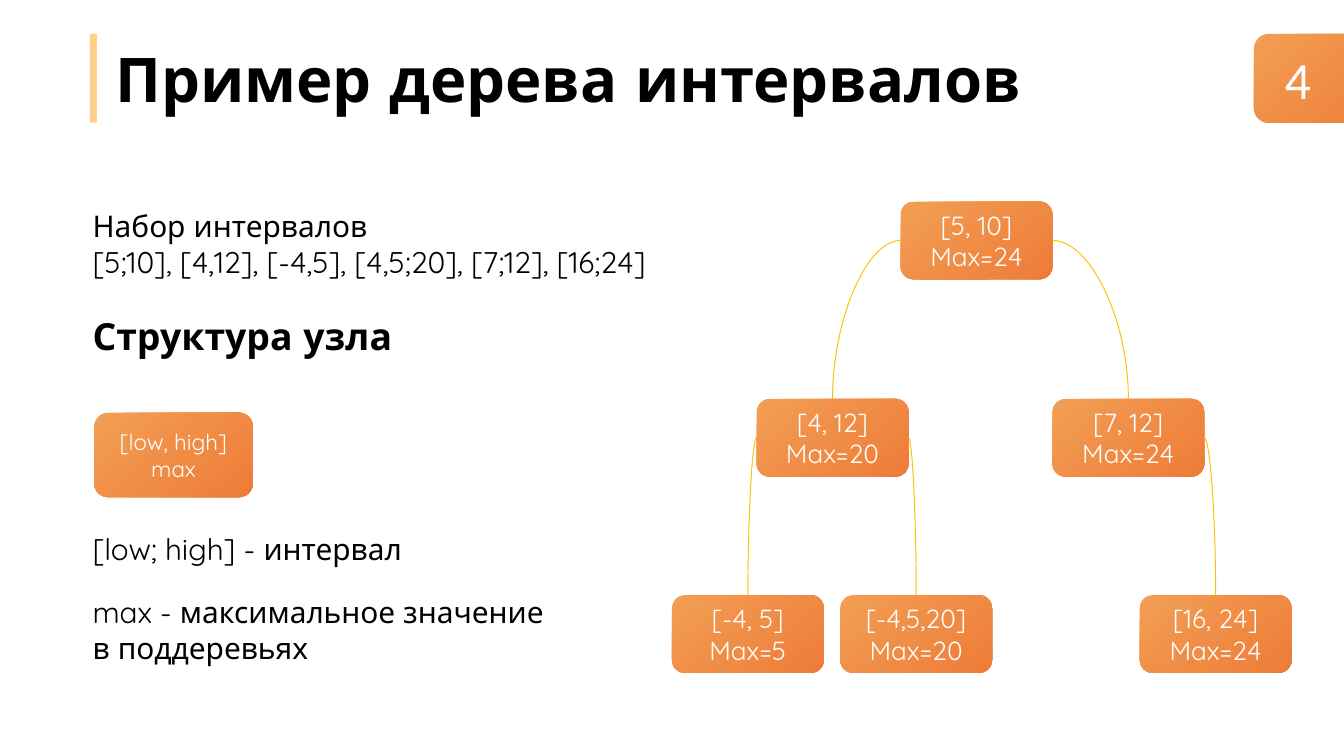
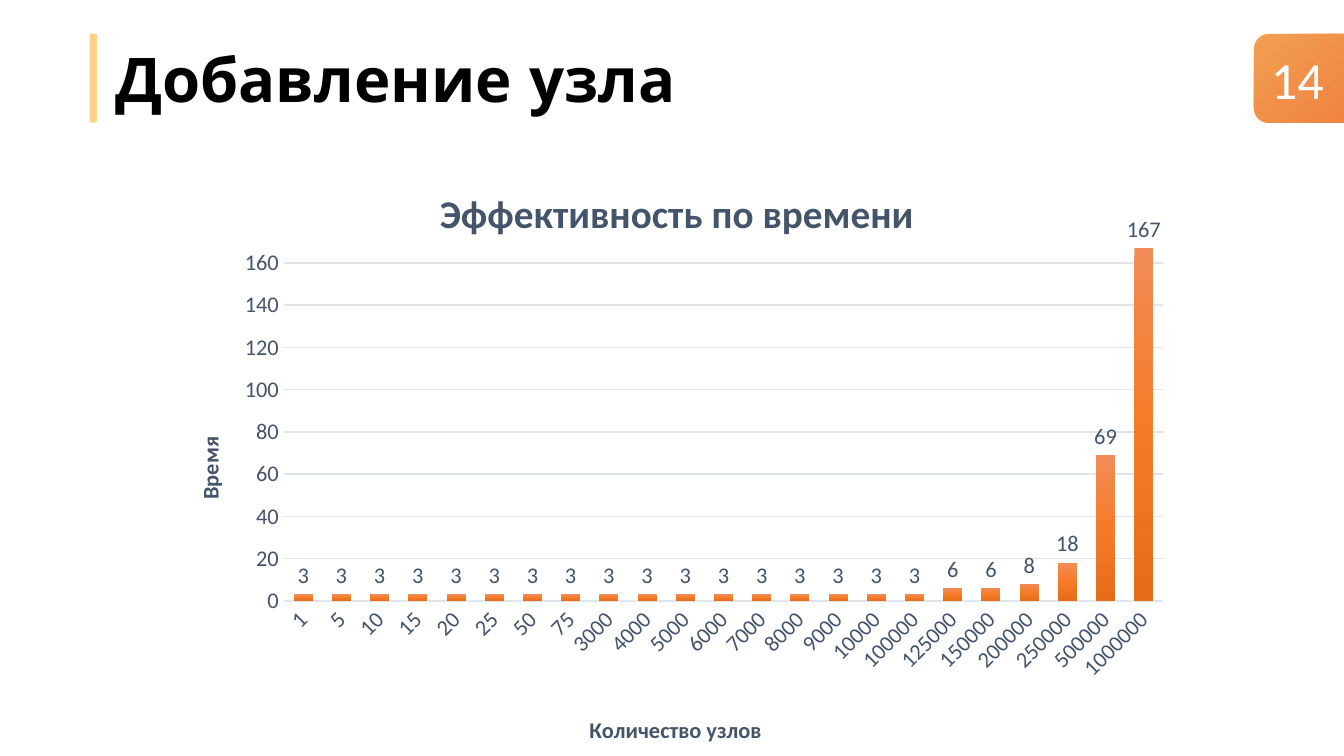
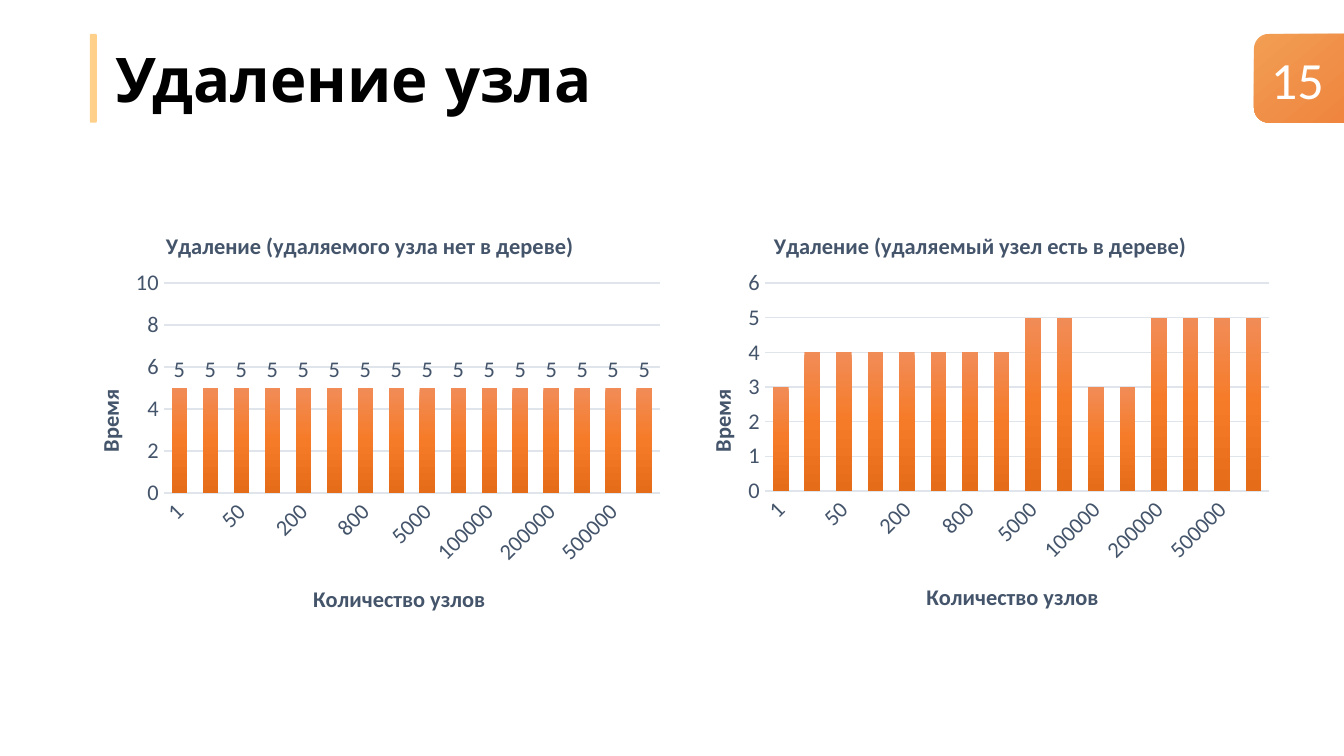
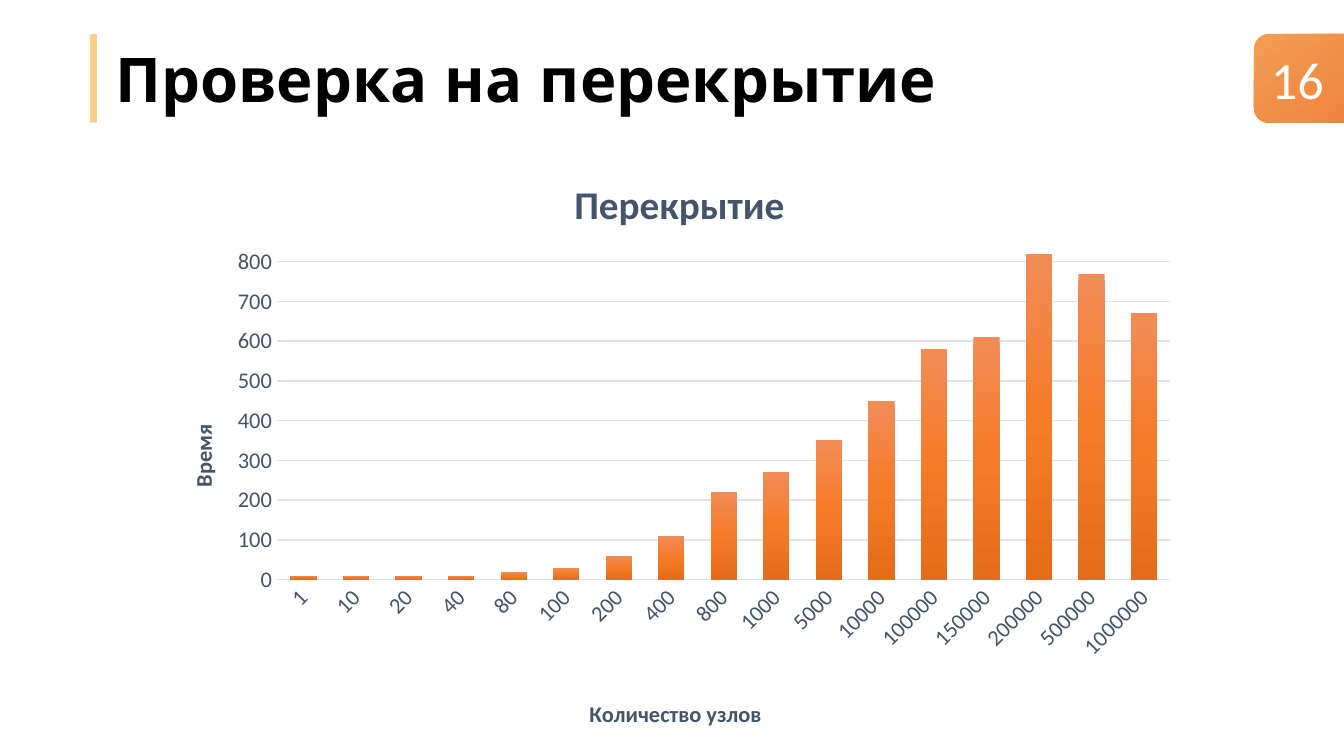
"""Build four slides on interval trees: one sample tree and three timing pages."""
from copy import deepcopy
from dataclasses import dataclass
from typing import NamedTuple

from lxml.etree import SubElement
from pptx import Presentation
from pptx.chart.data import CategoryChartData
from pptx.dml.color import RGBColor
from pptx.enum.chart import XL_CHART_TYPE, XL_LABEL_POSITION, XL_TICK_MARK
from pptx.enum.shapes import MSO_CONNECTOR, MSO_SHAPE
from pptx.enum.text import MSO_ANCHOR, MSO_AUTO_SIZE, PP_ALIGN
from pptx.oxml.ns import qn
from pptx.util import Cm, Pt

HUE = {
    "black": "000000", "white": "FFFFFF", "sand": "FFD089", "gold": "FFC000",
    "light": "F29E54", "dark": "EE7C37", "slate": "44546A", "grid": "E0E5EB",
    "top": "F18C57", "mid": "F67B28", "base": "E56C19",
}
HEAD, BODY = "Quicksand", "Calibri"
WIDE, HIGH = 25.4, 14.29
LEFT, RIGHT = 1, 3


class Box(NamedTuple):
    """Place and size in centimetres."""
    x: float
    y: float
    w: float
    h: float

    def cm(self) -> list:
        """Return the four lengths."""
        return [Cm(part) for part in self]


class Spot(NamedTuple):
    """Top left corner of a chart title in centimetres."""
    x: float
    y: float


class Style(NamedTuple):
    """Look of a run."""
    size: float
    font: str = HEAD
    hue: str = "black"
    bold: bool = False


class Note(NamedTuple):
    """Text box with its style."""
    box: Box
    text: str
    style: Style


class Node(NamedTuple):
    """Tree node with its corner and two lines."""
    x: float
    y: float
    span: str
    top: str


class Edge(NamedTuple):
    """Link from one side of a parent to the top of a child."""
    start: str
    end: str
    side: int


@dataclass
class Graph:
    """Column chart with the places of its parts."""
    box: Box
    plot: Box
    head: Spot
    foot: Spot
    side: Spot
    title: str
    size: float
    cats: str
    vals: list
    peak: int | None = None
    tags: bool = False


@dataclass
class Page:
    """Chart page with its number."""
    title: str
    number: int
    graphs: list


NODE = (2.87, 1.47)
ROWS = (3.81, 7.54, 11.25)
NODES = {
    "root": Node(17.02, ROWS[0], "[5, 10]", "Max=24"),
    "a": Node(14.3, ROWS[1], "[4, 12]", "Max=20"),
    "b": Node(19.89, ROWS[1], "[7, 12]", "Max=24"),
    "aa": Node(12.7, ROWS[2], "[-4, 5]", "Max=5"),
    "ab": Node(15.88, ROWS[2], "[-4,5,20]", "Max=20"),
    "bb": Node(21.54, ROWS[2], "[16, 24]", "Max=24"),
}
EDGES = [
    Edge("root", "a", LEFT), Edge("root", "b", RIGHT), Edge("a", "aa", LEFT),
    Edge("a", "ab", RIGHT), Edge("b", "bb", RIGHT),
]
PLAIN = Style(16)
NOTES = [
    Note(Box(1.5, 3.81, 11.51, 1.63),
         "Набор интервалов\n[5;10], [4,12], [-4,5], [4,5;20], [7;12], [16;24]", PLAIN),
    Note(Box(1.5, 5.79, 11.51, 1.12), "Структура узла", Style(20, bold=True)),
    Note(Box(1.5, 9.91, 11.2, 0.94), "[low; high] - интервал", PLAIN),
    Note(Box(1.5, 11.1, 11.2, 1.63),
         "max - максимальное значение\nв поддеревьях", PLAIN),
]
DROP = "1 10 50 100 200 400 800 1000 5000 10000 100000 150000 200000 250000 500000 1000000"
PAGES = [
    Page("Добавление узла", 14, [Graph(
        Box(3.02, 2.72, 19.35, 11.58), Box(5.37, 4.69, 16.61, 6.67),
        Spot(8.18, 3.38), Spot(11.06, 13.44), Spot(3.61, 8.18),
        "Эффективность по времени", 21,
        "1 5 10 15 20 25 50 75 3000 4000 5000 6000 7000 8000 9000 10000 "
        "100000 125000 150000 200000 250000 500000 1000000",
        [3] * 17 + [6, 6, 8, 18, 69, 167], 167, True)]),
    Page("Удаление узла", 15, [
        Graph(Box(1.14, 3.89, 11.56, 8.15), Box(3.1, 5.35, 9.37, 3.97),
              Spot(3.06, 4.29), Spot(5.84, 10.96), Spot(1.72, 7.28),
              "Удаление (удаляемого узла нет в дереве)", 12,
              DROP, [5] * 16, 10, True),
        Graph(Box(12.7, 3.89, 11.53, 8.1), Box(14.46, 5.35, 9.53, 3.93),
              Spot(14.55, 4.29), Spot(17.43, 10.92), Spot(13.29, 7.28),
              "Удаление (удаляемый узел есть в дереве)", 12,
              DROP, [3] + [4] * 7 + [5, 5, 3, 3] + [5] * 4)]),
    Page("Проверка на перекрытие", 16, [Graph(
        Box(2.9, 2.62, 19.61, 11.28), Box(5.24, 4.57, 16.88, 6.39),
        Spot(10.72, 3.21), Spot(11.06, 13.14), Spot(3.48, 7.94),
        "Перекрытие", 21,
        "1 10 20 40 80 100 200 400 800 1000 5000 10000 100000 150000 "
        "200000 500000 1000000",
        [10, 10, 10, 10, 20, 30, 60, 110, 220, 270, 350, 450, 580, 610, 820, 770, 670],
        850)]),
]


def tint(name: str) -> RGBColor:
    """Look up a colour."""
    return RGBColor.from_string(HUE[name])


def dress(font, style: Style) -> None:
    """Give a font its style."""
    font.size, font.name, font.bold = Pt(style.size), style.font, style.bold
    font.color.rgb = tint(style.hue)


def write(para, text: str, style: Style) -> None:
    """Add runs to a paragraph, one for each line."""
    for i, line in enumerate(text.split("\n")):
        if i:
            para.add_line_break()
        run = para.add_run()
        run.text = line
        dress(run.font, style)


def blend(fill, props, angle: float, names: list[str]) -> None:
    """Fill with an even gradient, its angle taken clockwise."""
    fill.gradient()
    fill.gradient_angle = 360 - angle
    stops = next(props.iter(qn("a:gsLst")))
    for _ in names[2:]:
        stops.insert(1, deepcopy(stops[0]))
    for i, (stop, name) in enumerate(zip(fill.gradient_stops, names)):
        stop.position = i / (len(names) - 1)
        stop.color.rgb = tint(name)


def add_note(slide, note: Note) -> None:
    """Draw a text box."""
    frame = slide.shapes.add_textbox(*note.box.cm()).text_frame
    frame.word_wrap = True
    frame.auto_size = MSO_AUTO_SIZE.SHAPE_TO_FIT_TEXT
    write(frame.paragraphs[0], note.text, note.style)


def add_block(slide, box: Box, lines: tuple = (), size: float = 14):
    """Draw a rounded orange block with centred lines."""
    block = slide.shapes.add_shape(MSO_SHAPE.ROUNDED_RECTANGLE, *box.cm())
    block.shadow.inherit = False
    block.line.fill.background()
    blend(block.fill, block._element.spPr, 50, ["light", "dark"])
    frame = block.text_frame
    frame.vertical_anchor = MSO_ANCHOR.MIDDLE
    for i, line in enumerate(lines):
        para = frame.add_paragraph() if i else frame.paragraphs[0]
        para.alignment = PP_ALIGN.CENTER
        write(para, line, Style(size, hue="white"))
    return block


def add_frame(slide, title: str) -> None:
    """Draw the title and the bar beside it."""
    add_note(slide, Note(Box(1.93, 0.64, 18.9, 1.68), title, Style(33, bold=True)))
    bar = slide.shapes.add_shape(
        MSO_SHAPE.ROUNDED_RECTANGLE, *Box(1.7, 0.64, 0.13, 1.68).cm())
    bar.shadow.inherit = False
    bar.line.fill.background()
    bar.fill.solid()
    bar.fill.fore_color.rgb = tint("sand")


def add_badge(slide, number: int) -> None:
    """Draw the page number in its block."""
    add_block(slide, Box(23.7, 0.64, 2.79, 1.68))
    box = Box(24.03, 0.76, 1.07, 1.45) if number < 10 else Box(23.77, 0.76, 1.75, 1.45)
    add_note(slide, Note(box, str(number), Style(28, BODY, "white")))


def add_edge(slide, start, end, side: int) -> None:
    """Join a parent to its child with a curve."""
    edge = slide.shapes.add_connector(MSO_CONNECTOR.CURVE, 0, 0, 0, 0)
    edge.begin_connect(start, side)
    edge.end_connect(end, 0)
    edge.line.color.rgb = tint("gold")
    edge.line.width = Pt(0.5)
    props = edge._element.spPr
    props.find(qn("a:prstGeom")).set("prst", "curvedConnector2")
    SubElement(props, qn("a:effectLst"))


def pin(node, frame: Box, place: Box | Spot) -> None:
    """Fix a chart part at a place on the slide."""
    old = node.find(qn("c:layout"))
    if old is None:
        old = SubElement(node, qn("c:layout"))
        node.insert(0, old)
    rule = SubElement(old, qn("c:manualLayout"))
    pairs = [("xMode", "edge"), ("yMode", "edge"),
             ("x", (place.x - frame.x) / frame.w), ("y", (place.y - frame.y) / frame.h)]
    if isinstance(place, Box):
        pairs.insert(0, ("layoutTarget", "inner"))
        pairs += [("w", place.w / frame.w), ("h", place.h / frame.h)]
    for name, value in pairs:
        SubElement(rule, qn(f"c:{name}")).set("val", str(value))


def label(title, text: str, size: float, frame: Box, spot: Spot, turn: int = 0) -> None:
    """Write a chart title and fix its place."""
    write(title.text_frame.paragraphs[0], text, Style(size, BODY, "slate", True))
    next(title._element.iter(qn("a:bodyPr"))).set("rot", str(turn * 60000))
    pin(title._element, frame, spot)


def add_graph(slide, graph: Graph) -> None:
    """Draw a column chart."""
    data = CategoryChartData()
    data.categories = graph.cats.split()
    data.add_series("Series 1", graph.vals)
    chart = slide.shapes.add_chart(
        XL_CHART_TYPE.COLUMN_CLUSTERED, *graph.box.cm(), data).chart
    dress(chart.font, Style(10, BODY))
    chart.has_legend = False
    pin(next(chart._chartSpace.iter(qn("c:plotArea"))), graph.box, graph.plot)
    label(chart.chart_title, graph.title, graph.size, graph.box, graph.head)

    small = Style(12, BODY, "slate")
    across, up = chart.category_axis, chart.value_axis
    for axis in (across, up):
        axis.major_tick_mark = axis.minor_tick_mark = XL_TICK_MARK.NONE
        dress(axis.tick_labels.font, small)
    label(across.axis_title, "Количество узлов", 12, graph.box, graph.foot)
    label(up.axis_title, "Время", 12, graph.box, graph.side, -90)
    turn = across._element.find(qn("c:txPr")).find(qn("a:bodyPr"))
    turn.set("rot", str(-45 * 60000))
    up.has_major_gridlines = True
    for line in (across.format.line, up.major_gridlines.format.line):
        line.color.rgb = tint("grid")
        line.width = Pt(0.75)
    up.format.line.fill.background()
    if graph.peak:
        up.minimum_scale, up.maximum_scale = 0, graph.peak

    plot = chart.plots[0]
    plot.gap_width, plot.overlap, plot.vary_by_categories = 100, -24, False
    bars = plot.series[0]
    blend(bars.format.fill, bars._element, 90, ["top", "mid", "base"])
    if graph.tags:
        tags = bars.data_labels
        tags.show_value = True
        tags.position = XL_LABEL_POSITION.OUTSIDE_END
        dress(tags.font, small)


def add_tree(slide) -> None:
    """Draw the sample tree and its notes."""
    for note in NOTES:
        add_note(slide, note)
    add_block(slide, Box(1.78, 7.8, 3, 1.6), ("[low, high]", "max"), 12)
    blocks = {key: add_block(slide, Box(node.x, node.y, *NODE), (node.span, node.top))
              for key, node in NODES.items()}
    for edge in EDGES:
        add_edge(slide, blocks[edge.start], blocks[edge.end], edge.side)


def main() -> None:
    """Build and save the slides."""
    deck = Presentation()
    deck.slide_width, deck.slide_height = Cm(WIDE), Cm(HIGH)
    blank = deck.slide_layouts[6]
    slide = deck.slides.add_slide(blank)
    add_frame(slide, "Пример дерева интервалов")
    add_tree(slide)
    add_badge(slide, 4)
    for page in PAGES:
        slide = deck.slides.add_slide(blank)
        add_frame(slide, page.title)
        for graph in page.graphs:
            add_graph(slide, graph)
        add_badge(slide, page.number)
    deck.save("out.pptx")


if __name__ == "__main__":
    main()
